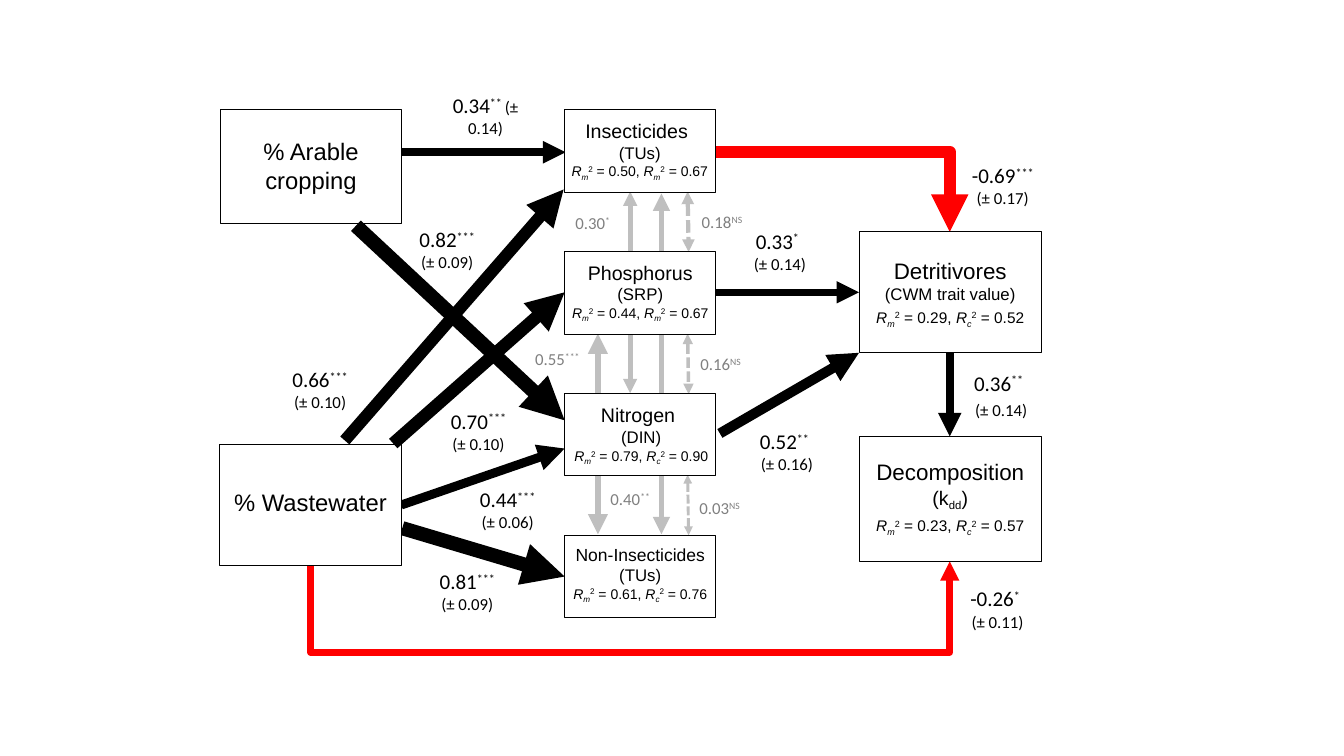
from lxml.etree import SubElement
from pptx import Presentation
from pptx.dml.color import RGBColor
from pptx.enum.dml import MSO_LINE_DASH_STYLE as Dash
from pptx.enum.shapes import MSO_CONNECTOR as Link, MSO_SHAPE as Preset
from pptx.enum.text import MSO_AUTO_SIZE as AutoSize, PP_ALIGN as Align
from pptx.oxml.ns import qn
from pptx.util import Inches, Pt

BLACK, GREY, DIM, RED, WHITE = "000000", "BFBFBF", "808080", "FF0000", "FFFFFF"
SUP, SUB = 30, -25


def color(hex_code):
    return RGBColor.from_string(hex_code)


def inches(values):
    return [Inches(value) for value in values]


def add_text(slide, box, paragraphs, font, ink=BLACK, gap=0):
    label = slide.shapes.add_textbox(*inches(box))
    frame = label.text_frame
    frame.word_wrap = True
    frame.auto_size = AutoSize.SHAPE_TO_FIT_TEXT
    for index, runs in enumerate(paragraphs):
        line = frame.paragraphs[0] if index == 0 else frame.add_paragraph()
        line.alignment = Align.CENTER
        if gap and index == len(paragraphs) - 1:
            line.space_before = Pt(gap)
        for words, size, baseline, italic in runs:
            run = line.add_run()
            run.text = words
            run.font.size = Pt(size)
            run.font.name = font
            run.font.italic = italic
            run.font.color.rgb = color(ink)
            if baseline:
                run.font._element.set("baseline", str(baseline * 1000))


def plain(words, size, baseline=0):
    return (words, size, baseline, False)


def r_squared(size, fits):
    runs = []
    for index, (kind, value) in enumerate(fits):
        ending = ", " if index < len(fits) - 1 else ""
        runs += [("R", size, 0, True), (kind, size, SUB, True),
                 plain("2", size, SUP), plain(f" = {value}{ending}", size)]
    return runs


def add_arrow(slide, start, end, weight, ink=BLACK, both=False, dash=None, kind=Link.STRAIGHT):
    arrow = slide.shapes.add_connector(kind, *inches(start + end))
    arrow.line.color.rgb = color(ink)
    arrow.line.width = Pt(weight)
    if dash:
        arrow.line.dash_style = dash
    properties = arrow.element.spPr
    outline = properties.find(qn("a:ln"))
    for tip in ("a:headEnd", "a:tailEnd") if both else ("a:tailEnd",):
        SubElement(outline, qn(tip), type="triangle")
    SubElement(properties, qn("a:effectLst"))
    return arrow


def add_box(slide, box, filled=True):
    frame = slide.shapes.add_shape(Preset.RECTANGLE, *inches(box))
    frame.shadow.inherit = False
    if filled:
        frame.fill.solid()
        frame.fill.fore_color.rgb = color(WHITE)
    else:
        frame.fill.background()
    frame.line.color.rgb = color(BLACK)
    frame.line.width = Pt(0.75)


def add_driver(slide, box, name, drop, height):
    left, top, width, _ = box
    add_box(slide, box)
    add_text(slide, (left, top + drop, width, height), [[plain(name, 17)]], "Arial")


def add_stressor(slide, box, title, unit, fits, label_left, drop, label_width):
    left, top, _, height = box
    add_box(slide, box)
    add_text(slide, (left + label_left, top + drop, label_width, height - 0.1),
             [title, [plain(unit, 12)], r_squared(10, fits)], "Arial")


def add_response(slide, box, title, detail, fits, drop, height):
    left, top, width, _ = box
    add_box(slide, box, filled=False)
    add_text(slide, (left, top + drop, width, height),
             [[plain(title, 16)], detail, r_squared(11, fits)], "Arial", gap=3)


def add_wrapped_effect(slide, left, top, value, stars, error):
    runs = [plain(value, 15), plain(f"{stars} ", 15, SUP), plain(f"(± {error})", 12)]
    add_text(slide, (left, top, 0.85, 0.57), [runs], "Calibri")


def add_effect(slide, left, top, width, value, stars, error, gap=0):
    estimate = [plain(value, 15), plain(stars, 15, SUP), plain(" ", 16)]
    add_text(slide, (left, top, width, 0.57), [estimate, [plain(f"(± {error})", 12)]],
             "Calibri", gap=gap)


def add_correlation(slide, left, top, value, mark, space=14):
    runs = [plain(value, 12), plain(mark, 12, SUP), plain(" ", space)]
    add_text(slide, (left, top, 0.86, 0.34), [runs], "Calibri", DIM)


def add_correlation_arrows(slide):
    for x, top, bottom, weight in [(5.93, 3.31, 5.3, 4.8), (6.56, 1.92, 5.3, 4.1),
                                   (6.25, 1.9, 3.9, 3.4)]:
        add_arrow(slide, (x, top), (x, bottom), weight, GREY, both=True)
    for top, weight in [(1.9, 3), (3.31, 2.5), (4.71, 2.1)]:
        add_arrow(slide, (6.82, top), (6.83, top + 0.6), weight, GREY, True, Dash.SQUARE_DOT)


def add_red_paths(slide):
    toxic = add_arrow(slide, (6.95, 1.51), (9.42, 2.3), 8.9, RED, kind=Link.ELBOW)
    toxic.element.spPr.find(qn("a:prstGeom")).set("prst", "bentConnector2")

    start_x, start_y, end_x, end_y, low_y = 3.08, 5.61, 9.42, 5.57, 6.47
    rise, span = start_y - end_y, end_x - start_x
    mid_x, mid_y = (start_x + end_x) / 2, (start_y + end_y) / 2
    direct = add_arrow(slide, (mid_x - rise / 2, mid_y - span / 2),
                       (mid_x + rise / 2, mid_y + span / 2), 4.6, RED, kind=Link.ELBOW)
    properties = direct.element.spPr
    transform = properties.find(qn("a:xfrm"))
    for name, value in [("rot", "5400000"), ("flipH", "1"), ("flipV", "1")]:
        transform.set(name, value)
    geometry = properties.find(qn("a:prstGeom"))
    bend = round((start_y - low_y) / rise * 100000)
    SubElement(geometry.find(qn("a:avLst")), qn("a:gd"), name="adj1", fmla=f"val {bend}")


def add_path_diagram(slide):
    add_correlation_arrows(slide)
    add_red_paths(slide)
    for start, end, weight in [((3.97, 1.51), (5.61, 1.51), 5.4),
                               ((3.99, 5.24), (5.6, 5.72), 10.1),
                               ((3.98, 5.01), (5.6, 4.45), 6.4),
                               ((9.42, 3.5), (9.42, 4.33), 5.6),
                               ((7.1, 2.9), (8.52, 2.9), 5.3)]:
        add_arrow(slide, start, end, weight)

    add_driver(slide, (2.19, 1.09, 1.79, 1.13), "% Arable cropping", 0.22, 0.67)
    add_driver(slide, (2.18, 4.41, 1.8, 1.2), "% Wastewater", 0.38, 0.39)

    stressors = [
        ([plain("Insecticides", 14), plain(" ", 16)], "(TUs)",
         [("m", "0.50"), ("m", "0.67")], -0.05, 0.01, 1.59),
        ([plain("Phosphorus", 14)], "(SRP)",
         [("m", "0.44"), ("m", "0.67")], -0.06, 0.04, 1.62),
        ([plain("Nitrogen", 14), plain(" ", 16)], "(DIN)",
         [("m", "0.79"), ("c", "0.90")], -0.02, 0.02, 1.56),
        ([plain("Non-Insecticides", 12.5)], "(TUs)",
         [("m", "0.61"), ("c", "0.76")], -0.1, 0.04, 1.7)]
    for row, stressor in enumerate(stressors):
        add_stressor(slide, (5.6, 1.09 + row * 1.406, 1.5, 0.82), *stressor)

    add_response(slide, (8.52, 2.3, 1.81, 1.2), "Detritivores", [plain("(CWM trait value)", 12)],
                 [("m", "0.29"), ("c", "0.52")], 0.2, 0.8)
    add_response(slide, (8.52, 4.33, 1.81, 1.24), "Decomposition",
                 [plain("(k", 14), plain("dd", 14, SUB), plain(")", 14)],
                 [("m", "0.23"), ("c", "0.57")], 0.17, 1.08)

    for start, end, weight in [((3.42, 4.37), (5.59, 1.88), 8.6),
                               ((3.9, 4.4), (5.6, 2.9), 9),
                               ((3.53, 2.24), (5.6, 4.17), 10.2),
                               ((7.14, 4.3), (8.52, 3.5), 7.2)]:
        add_arrow(slide, start, end, weight)

    for effect in [(4.39, 0.87, "0.34", "**", "0.14"), (4.01, 2.2, "0.82", "***", "0.09"),
                   (2.75, 3.59, "0.66", "***", "0.10"), (4.32, 4, "0.70", "***", "0.10"),
                   (4.61, 4.78, "0.44", "***", "0.06"), (4.21, 5.59, "0.81", "***", "0.09")]:
        add_wrapped_effect(slide, *effect)
    for effect in [(9.52, 1.55, 0.85, "-0.69", "***", "0.17"),
                   (7.24, 2.2, 0.99, "0.33", "*", "0.14"),
                   (9.5, 3.61, 0.86, "0.36", "**", "0.14", 3),
                   (7.31, 4.19, 0.99, "0.52", "**", "0.16"),
                   (9.43, 5.75, 0.93, "-0.26", "*", "0.11")]:
        add_effect(slide, *effect)
    for correlation in [(5.47, 2.03, "0.30", "*"), (6.75, 2.05, "0.18", "NS", 12),
                        (5.12, 3.38, "0.55", "***"), (6.74, 3.43, "0.16", "NS"),
                        (5.84, 4.8, "0.40", "**", 12), (6.73, 4.86, "0.03", "NS")]:
        add_correlation(slide, *correlation)


deck = Presentation()
deck.slide_width, deck.slide_height = inches((13.33, 7.5))
add_path_diagram(deck.slides.add_slide(deck.slide_layouts[6]))
deck.save("out.pptx")
